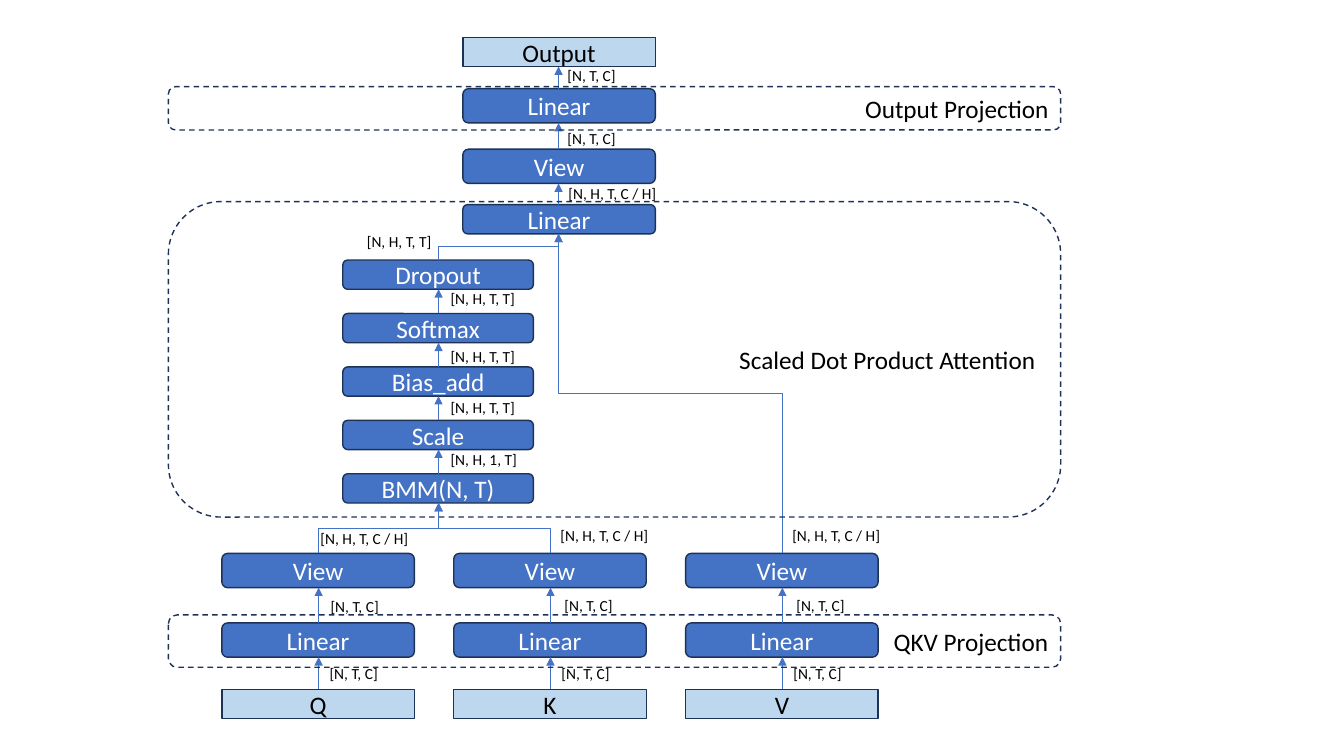
"""Build a slide with the layer diagram of a multi-head attention block."""
import pptx
import pptx.util
import pptx.dml.color
import pptx.enum.dml
import pptx.enum.shapes
import pptx.enum.text
import pptx.oxml.ns
from lxml import etree

Inches, Pt = pptx.util.Inches, pptx.util.Pt
RGBColor = pptx.dml.color.RGBColor
SHAPE = pptx.enum.shapes.MSO_SHAPE
CONNECTOR = pptx.enum.shapes.MSO_CONNECTOR
ALIGN = pptx.enum.text.PP_ALIGN
qn = pptx.oxml.ns.qn

BLUE = RGBColor(0x44, 0x72, 0xC4)
PALE = RGBColor(0xBD, 0xD7, 0xEE)
NAVY = RGBColor(0x1E, 0x32, 0x56)
WHITE = RGBColor(0xFF, 0xFF, 0xFF)
BLACK = RGBColor(0x00, 0x00, 0x00)

BOX_W, LAYER_H, SMALL_H = 1.91, 0.34, 0.29
STEP_W, STEP_PITCH = 1.89, 0.53
NTC, HEADS, SCORES = "[N, T, C]", "[N, H, T, C / H]", "[N, H, T, T]"
LABEL_W = {NTC: 0.7, HEADS: 1.1, SCORES: 0.86, "[N, H, 1, T]": 0.87}

prs = pptx.Presentation()
prs.slide_width, prs.slide_height = Inches(13.33), Inches(7.5)
s = prs.slides.add_slide(prs.slide_layouts[6])


def add_box(text, x, y, w, h, fill=BLUE):
    """Add a layer (blue), a tensor (pale) or a dashed stage (no fill)."""
    kind = SHAPE.RECTANGLE if fill == PALE else SHAPE.ROUNDED_RECTANGLE
    sp = s.shapes.add_shape(kind, Inches(x), Inches(y), Inches(w), Inches(h))
    sp.shadow.inherit = False
    sp.line.color.rgb = NAVY
    sp.line.width = Pt(1)
    if fill is None:
        sp.fill.background()
        sp.line.dash_style = pptx.enum.dml.MSO_LINE.DASH
    else:
        sp.fill.solid()
        sp.fill.fore_color.rgb = fill
    tf = sp.text_frame
    tf.text = text
    tf.vertical_anchor = pptx.enum.text.MSO_ANCHOR.MIDDLE
    p = tf.paragraphs[0]
    p.alignment = ALIGN.RIGHT if fill is None else ALIGN.CENTER
    font = p.runs[0].font
    font.name, font.size = "Calibri", Pt(18)
    font.color.rgb = WHITE if fill == BLUE else BLACK


def add_arrow(x1, y1, x2, y2):
    """Add an upward arrow that bends halfway when it changes column."""
    if x1 == x2:
        c = s.shapes.add_connector(CONNECTOR.STRAIGHT, Inches(x1), Inches(y1), Inches(x2), Inches(y2))
    else:
        sign, angle = (1, 270) if x2 < x1 else (-1, 90)
        cx, cy = (x1 + x2) / 2, (y1 + y2) / 2
        half_w, half_h = sign * (y1 - y2) / 2, sign * (x2 - x1) / 2
        c = s.shapes.add_connector(CONNECTOR.ELBOW, Inches(cx - half_w), Inches(cy - half_h),
                                   Inches(cx + half_w), Inches(cy + half_h))
        c._element.spPr.find(qn("a:xfrm")).set("rot", str(angle * 60000))
    c.line.color.rgb = BLUE
    c.line.width = Pt(0.5)
    etree.SubElement(c.line._get_or_add_ln(), qn("a:tailEnd"), type="triangle")
    etree.SubElement(c._element.spPr, qn("a:effectLst"))


labels = [(HEADS, 3.08, 5.2), (HEADS, 5.46, 5.17), (HEADS, 7.76, 5.17),
          (NTC, 3.18, 5.87), (NTC, 5.5, 5.86), (NTC, 7.8, 5.86),
          ("[N, H, 1, T]", 4.37, 4.42), (SCORES, 4.37, 3.9), (SCORES, 4.37, 3.39),
          (SCORES, 4.37, 2.82), (SCORES, 3.54, 2.25),
          (HEADS, 5.54, 1.78), (NTC, 5.53, 1.23), (NTC, 5.53, 0.61)]

for i, name in enumerate(["Q", "K", "V"]):
    x = 2.2 + 2.3 * i
    mid = x + 0.96
    add_box(name, x, 6.84, BOX_W, SMALL_H, PALE)
    add_box("Linear", x, 6.18, BOX_W, LAYER_H)
    add_box("View", x, 5.49, BOX_W, LAYER_H)
    add_arrow(mid, 6.84, mid, 6.52)
    add_arrow(mid, 6.18, mid, 5.83)
    labels.append((NTC, x + 0.97, 6.54))

for i, name in enumerate(["BMM(N, T)", "Scale", "Bias_add", "Softmax", "Dropout"]):
    y = 4.7 - STEP_PITCH * i
    add_box(name, 3.4, y, STEP_W, SMALL_H)
    if i:
        add_arrow(4.35, y + STEP_PITCH, 4.35, y + SMALL_H)

for name, y, h, fill, source_y in [("Linear", 2.03, SMALL_H, BLUE, None),
                                   ("View", 1.48, LAYER_H, BLUE, 2.03),
                                   ("Linear", 0.88, LAYER_H, BLUE, 1.48),
                                   ("Output", 0.37, SMALL_H, PALE, 0.88)]:
    add_box(name, 4.59, y, BOX_W, h, fill)
    if source_y:
        add_arrow(5.54, source_y, 5.54, y + h)

for bend in [(3.16, 5.49, 4.35, 4.99), (5.46, 5.49, 4.35, 4.99),
             (4.35, 2.57, 5.54, 2.32), (7.76, 5.49, 5.54, 2.32)]:
    add_arrow(*bend)

for text, x, y in labels:
    tf = s.shapes.add_textbox(Inches(x), Inches(y), Inches(LABEL_W[text]), Inches(0.29)).text_frame
    tf.text = text
    tf.word_wrap = False
    tf.auto_size = pptx.enum.text.MSO_AUTO_SIZE.SHAPE_TO_FIT_TEXT
    font = tf.paragraphs[0].runs[0].font
    font.name, font.size = "Calibri", Pt(11)
    font.color.rgb = BLACK

for stage, y, h in [("QKV Projection", 6.1, 0.52),
                    ("Scaled Dot Product Attention", 2, 3.13),
                    ("Output Projection", 0.86, 0.43)]:
    add_box(stage, 1.67, y, 8.85, h, None)

prs.save("out.pptx")
